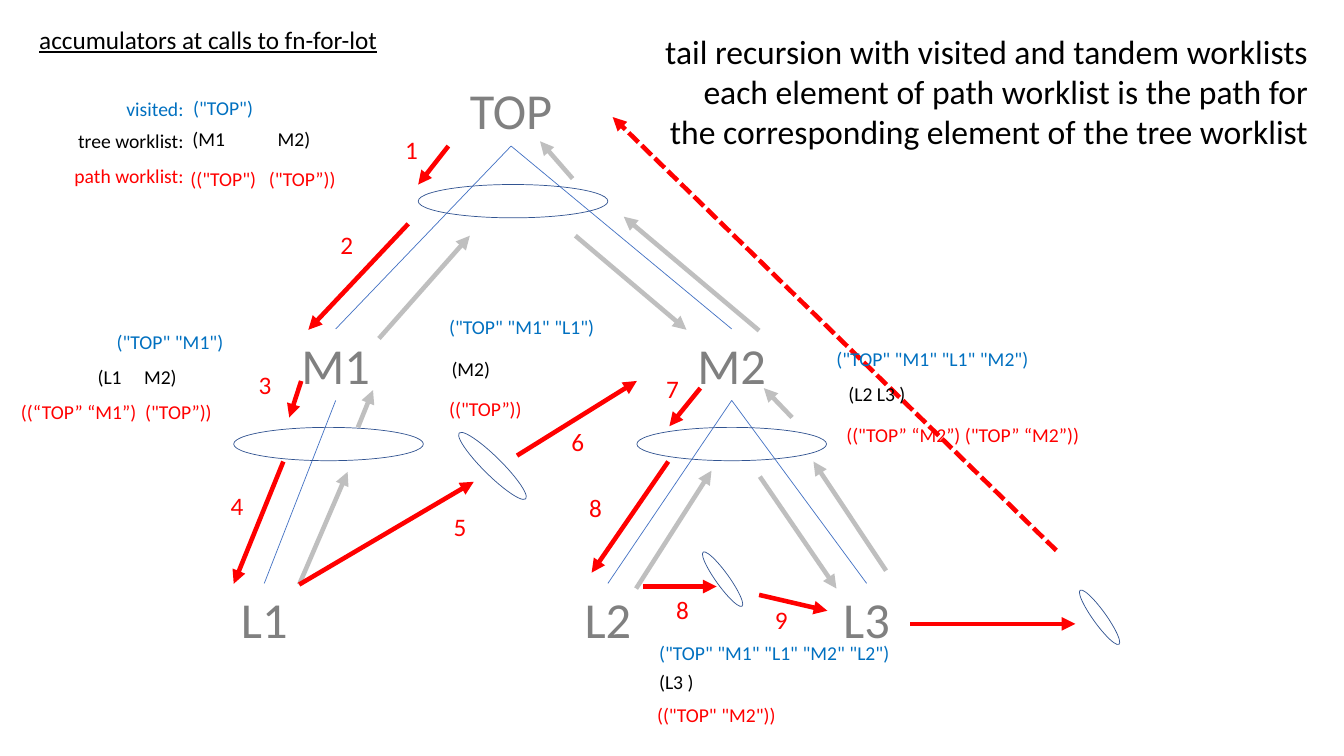
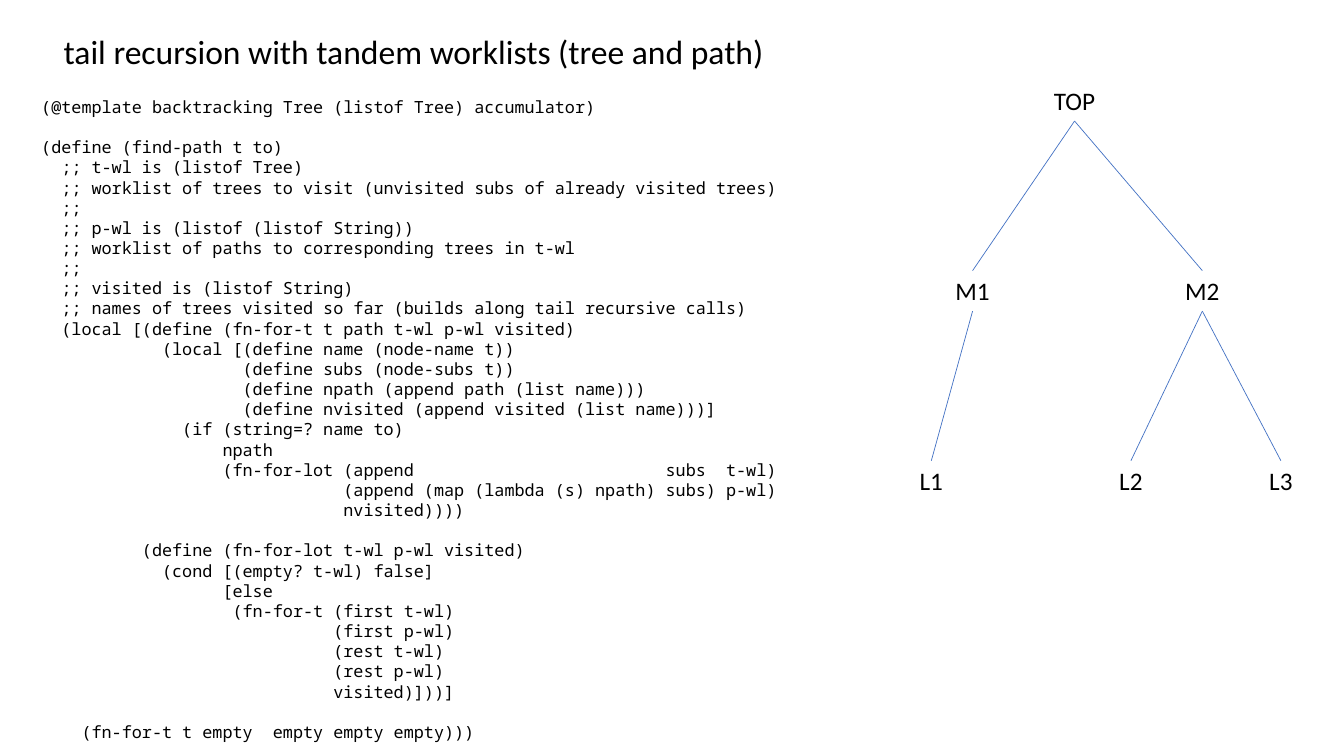
from dataclasses import dataclass
from lxml.etree import SubElement
from pptx import Presentation
from pptx.dml.color import RGBColor as RGB
from pptx.enum.dml import MSO_LINE
from pptx.enum.shapes import MSO_CONNECTOR as CONN, MSO_SHAPE as SHAPE
from pptx.enum.text import MSO_ANCHOR as ANCHOR, MSO_AUTO_SIZE as FIT, PP_ALIGN as ALIGN
from pptx.oxml.ns import qn
from pptx.util import Cm, Pt


@dataclass(frozen=True)
class Theme:
    black: str = "000000"
    gray: str = "808080"
    silver: str = "BFBFBF"
    red: str = "FF0000"
    blue: str = "0070C0"
    edge: str = "4472C4"
    oval: str = "325491"
    sans: str = "Calibri"
    mono: str = "Noto Sans Mono"
    node: int = 36
    title: int = 24
    body: int = 18
    label: int = 14
    code: int = 12
    thin: float = 0.5
    thick: float = 3.25


T = Theme()


def write(sl, text, at, sp=None, size=T.body, color=T.black, font=T.sans,
          align=ALIGN.LEFT, underline=None, tab=None):
    sp = sp or sl.shapes.add_textbox(0, 0, 0, 0)
    sp.left, sp.top, sp.width, sp.height = map(Cm, at)
    tf = sp.text_frame
    tf.word_wrap = True
    tf.auto_size = FIT.NONE
    tf.vertical_anchor = ANCHOR.TOP
    p, gap = tf.paragraphs[0], 0
    for i, row in enumerate(text.split("\n")):
        if not row:
            gap = size * 1.2
            continue
        p = tf.add_paragraph() if i else p
        p.alignment = align
        p.space_before, gap = Pt(gap), 0
        if tab:
            tabs = SubElement(p._p.get_or_add_pPr(), qn("a:tabLst"))
            SubElement(tabs, qn("a:tab"), pos=str(Cm(tab)), algn="l")
        r = p.add_run()
        r.text = row
        r.font.name, r.font.size, r.font.underline = font, Pt(size), underline
        r.font.color.rgb = RGB.from_string(color)


def link(sl, ends, color, width, arrow=False, dash=None):
    cx = sl.shapes.add_connector(CONN.STRAIGHT, *map(Cm, ends))
    cx.line.color.rgb = RGB.from_string(color)
    cx.line.width = Pt(width)
    if dash:
        cx.line.dash_style = dash
    spPr = cx._element.spPr
    if arrow:
        SubElement(spPr.find(qn("a:ln")), qn("a:tailEnd"), type="triangle")
    SubElement(spPr, qn("a:effectLst"))


prs = Presentation()
prs.slide_width, prs.slide_height = Cm(33.87), Cm(19.05)
trace, listing = [prs.slides.add_slide(prs.slide_layouts[5]) for _ in range(2)]

write(trace, "tail recursion with visited and tandem worklists\n"
      "each element of path worklist is the path for the corresponding "
      "element of the tree worklist",
      (16.2, 0.64, 17.02, 6.4), sp=trace.shapes.title, size=T.title, align=ALIGN.RIGHT)
write(listing, "tail recursion with tandem worklists (tree and path)",
      (1.35, 0.66, 18.31, 1.27), sp=listing.shapes.title, size=T.title)

names = ["TOP", "M1", "M2", "L1", "L2", "L3"]
level = {"T": 0, "M": 1, "L": 2}
edges = [("TOP", "M1"), ("TOP", "M2"), ("M1", "L1"), ("M2", "L2"), ("M2", "L3")]
trees = [
    (trace, [12.88, 8.46, 18.44, 6.66, 15.32, 21.84], 1.88, 6.41, 2.8, 1.8, T.node, T.gray),
    (listing, [27.08, 24.51, 30.3, 23.47, 28.5, 32.28], 2.03, 4.79, 1.8, 1.02, T.body, T.black),
]
for sl, centers, top, step, w, h, size, color in trees:
    spot = {n: (x, top + step * level[n[0]]) for n, x in zip(names, centers)}
    for name, (x, y) in spot.items():
        write(sl, name, (x - w / 2, y, w, h), size=size, color=color, align=ALIGN.CENTER)
    for parent, child in edges:
        (x1, y1), (x2, y2) = spot[parent], spot[child]
        link(sl, (x1, y1 + h, x2, y2), T.edge, T.thin)

ovals = [
    (10.54, 4.65, 4.78, 0.84, 0), (5.89, 10.77, 4.78, 0.84, 0), (16.05, 10.77, 4.78, 0.84, 0),
    (11.23, 11.51, 2.36, 0.46, 44.7), (17.37, 14.43, 1.68, 0.33, 54.3),
    (26.87, 15.39, 1.68, 0.33, 54.3),
]
for *at, angle in ovals:
    sp = trace.shapes.add_shape(SHAPE.OVAL, *map(Cm, at))
    sp.rotation = angle
    sp.shadow.inherit = False
    sp.fill.background()
    sp.line.color.rgb = RGB.from_string(T.oval)
    sp.line.width = Pt(T.thin)

returns = [
    (7.54, 14.73, 8.76, 11.89), (9.55, 8.53, 11.84, 5.94), (14.5, 5.94, 17.3, 8.31),
    (16.03, 14.83, 17.93, 11.86), (19.15, 12.01, 21.08, 14.83), (22.33, 14.38, 20.5, 11.63),
    (9.02, 10.77, 9.4, 9.83), (19.96, 10.52, 19.25, 9.78), (19.13, 8.33, 15.72, 5.46),
    (14.43, 4.5, 13.61, 3.56),
]
calls = [
    (11.3, 3.68, 10.54, 4.65), (10.29, 5.64, 7.77, 8.31), (7.59, 9.6, 7.29, 10.52),
    (7.14, 11.63, 5.89, 14.71), (7.54, 14.73, 11.94, 12.14), (13.03, 11.48, 16.05, 9.6),
    (17.65, 9.78, 16.87, 10.74), (16.84, 11.63, 14.91, 14.43), (16.2, 14.78, 18.06, 14.78),
    (19.13, 14.99, 20.85, 15.39), (22.94, 15.72, 27.1, 15.72),
]
for color, arrows in [(T.silver, returns), (T.red, calls)]:
    for ends in arrows:
        link(trace, ends, color, T.thick, arrow=True)
link(trace, (26.62, 13.87, 15.44, 2.95), T.red, T.thick, arrow=True, dash=MSO_LINE.SQUARE_DOT)

steps = [
    ("1", 9.96, 3.25), ("2", 8.33, 5.66), ("3", 6.27, 9.19), ("4", 5.56, 12.22),
    ("5", 11.18, 12.75), ("6", 14.15, 10.62), ("7", 16.54, 9.27), ("8", 14.6, 12.27),
    ("8", 16.79, 14.86), ("9", 19.28, 15.11),
]
for number, x, y in steps:
    write(trace, number, (x, y, 0.84, 1.02), color=T.red)

write(trace, "accumulators at calls to fn-for-lot", (0.74, 0.48, 9.12, 1.02), underline=True)
roles = [T.blue, T.black, T.red]
for text, y, color in zip(["visited:", "tree worklist:", "path worklist:"],
                          [2.31, 3.12, 4.01], roles):
    write(trace, text, (0.36, y, 4.52, 0.86), size=T.label, color=color, align=ALIGN.RIGHT)

accumulators = [
    (5, [('("TOP")', 4.62, 2.29, None),
         ('(M1\tM2)', 4.6, 3.07, 2.15),
         ('(("TOP")\t("TOP”))', 4.55, 4.09, 1.98)]),
    (6, [('("TOP" "M1")', 2.69, 8.18, None),
         ('(L1\tM2)', 2.21, 9.07, 1.17),
         ('((“TOP” “M1”)\t("TOP”))', 0.28, 9.96, 3.13)]),
    (4.6, [('("TOP" "M1" "L1")', 11.07, 7.82, None),
           ('(M2)', 11.13, 8.86, None),
           ('(("TOP”))', 11.07, 9.88, None)]),
    (6.8, [('("TOP" "M1" "L1" "M2")', 20.83, 8.61, None),
           ('(L2 L3 )', 21.13, 9.5, None),
           ('(("TOP” “M2”) ("TOP” “M2”))', 21.08, 10.52, None)]),
    (6.8, [('("TOP" "M1" "L1" "M2" "L2")', 16.36, 16.03, None),
           ('(L3 )', 16.36, 16.76, None),
           ('(("TOP" "M2"))', 16.31, 17.58, None)]),
]
for w, rows in accumulators:
    for (text, x, y, tab), color in zip(rows, roles):
        write(trace, text, (x, y, w, 0.86), size=T.label, color=color, tab=tab)

purpose = """(@template backtracking Tree (listof Tree) accumulator)

(define (find-path t to)
  ;; t-wl is (listof Tree)
  ;; worklist of trees to visit (unvisited subs of already visited trees)
  ;;
  ;; p-wl is (listof (listof String))
  ;; worklist of paths to corresponding trees in t-wl
  ;;
  ;; visited is (listof String)
  ;; names of trees visited so far (builds along tail recursive calls)"""
fn_for_t = """  (local [(define (fn-for-t t path t-wl p-wl visited)
            (local [(define name (node-name t))
                    (define subs (node-subs t))
                    (define npath (append path (list name)))
                    (define nvisited (append visited (list name)))]
              (if (string=? name to)
                  npath
                  (fn-for-lot (append                         subs  t-wl)
                              (append (map (lambda (s) npath) subs) p-wl)
                              nvisited))))
"""
fn_for_lot = """          (define (fn-for-lot t-wl p-wl visited)
            (cond [(empty? t-wl) false]
                  [else
                   (fn-for-t (first t-wl)
                             (first p-wl)
                             (rest t-wl)
                             (rest p-wl)
                             visited)]))]

    (fn-for-t t empty  empty empty empty)))"""
write(listing, "\n".join([purpose, fn_for_t, fn_for_lot]), (0.79, 2.31, 24.61, 16.66),
      size=T.code, font=T.mono)

prs.save("out.pptx")
